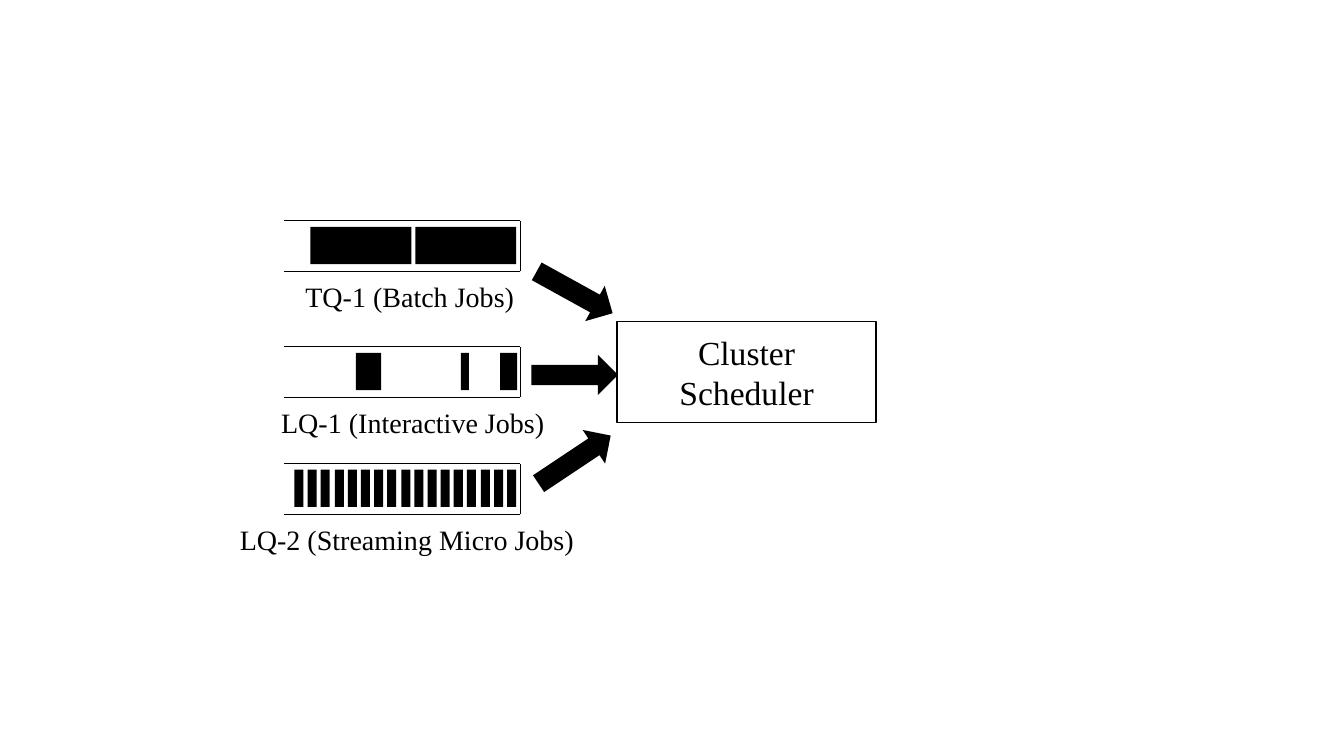
from lxml.etree import SubElement
from pptx import Presentation
from pptx.dml.color import RGBColor
from pptx.enum.shapes import MSO_CONNECTOR, MSO_SHAPE
from pptx.enum.text import MSO_ANCHOR, MSO_AUTO_SIZE, PP_ALIGN
from pptx.oxml.ns import qn
from pptx.util import Pt

SCALE = 9144  # EMU per px, 100 px to the inch
COLORS = {"ink": "000000"}
FONT = "Times New Roman"
LEFT, RIGHT = 282, 516  # queue ends
HIGH = 50  # queue height
INSET = 6  # gap from queue top to job

# Queue top, label, label left and width, jobs as (left, width)
QUEUES = [
    (219, "TQ-1 (Batch Jobs)", 293, 229, [(308, 100), (412, 100)]),
    (344, "LQ-1 (Interactive Jobs)", 269, 283,
     [(353, 25), (457, 8), (496, 17)]),
    (460, "LQ-2 (Streaming Micro Jobs)", 228, 354,
     [(292 + round(i * 211 / 16), 9) for i in range(17)]),
]
# Arrow top and turn
ARROWS = [(270, 28.9), (352, 0), (436, 326.3)]


def px(*nums):
    return [n * SCALE for n in nums]


def ink():
    return RGBColor.from_string(COLORS["ink"])


def style(frame, size):
    for para in frame.paragraphs:
        for run in para.runs:
            run.font.name = FONT
            run.font.size = Pt(size)
            run.font.color.rgb = ink()


def add_line(group, *ends):
    line = group.shapes.add_connector(MSO_CONNECTOR.STRAIGHT, *px(*ends))
    line.line.color.rgb = ink()
    line.line.width = Pt(0.5)
    SubElement(line._element.spPr, qn("a:effectLst"))


def add_solid(slide, kind, box, turn=0):
    shape = slide.shapes.add_shape(kind, *px(*box))
    shape.shadow.inherit = False
    shape.fill.solid()
    shape.fill.fore_color.rgb = ink()
    shape.line.fill.background()
    shape.rotation = turn


def add_label(slide, text, box):
    label = slide.shapes.add_textbox(*px(*box))
    frame = label.text_frame
    frame.word_wrap = False
    frame.auto_size = MSO_AUTO_SIZE.SHAPE_TO_FIT_TEXT
    frame.text = text
    style(frame, 20)


def add_queue(slide, top, text, left, width, jobs):
    base = top + HIGH
    group = slide.shapes.add_group_shape()
    add_line(group, LEFT, top, RIGHT, top)
    add_line(group, LEFT, base, RIGHT, base)
    add_line(group, RIGHT, base, RIGHT, top)
    for start, wide in jobs:
        add_solid(slide, MSO_SHAPE.RECTANGLE, (start, top + INSET, wide, 37))
    add_label(slide, text, (left, base + 3, width, 44))


def add_box(slide, text, box):
    shape = slide.shapes.add_shape(MSO_SHAPE.RECTANGLE, *px(*box))
    shape.shadow.inherit = False
    shape.fill.background()
    shape.line.color.rgb = ink()
    shape.line.width = Pt(1)
    frame = shape.text_frame
    frame.word_wrap = True
    frame.vertical_anchor = MSO_ANCHOR.MIDDLE
    frame.text = text
    for para in frame.paragraphs:
        para.alignment = PP_ALIGN.CENTER
    style(frame, 24)


def main():
    deck = Presentation()
    deck.slide_width, deck.slide_height = px(1333, 750)
    slide = deck.slides.add_slide(deck.slide_layouts[6])

    # Job queues
    for queue in QUEUES:
        add_queue(slide, *queue)

    # Scheduler
    add_box(slide, "Cluster\nScheduler", (612, 319, 257, 100))

    # Arrows into the scheduler
    for top, turn in ARROWS:
        add_solid(slide, MSO_SHAPE.RIGHT_ARROW, (527, top, 86, 40), turn)

    deck.save("out.pptx")


if __name__ == "__main__":
    main()
